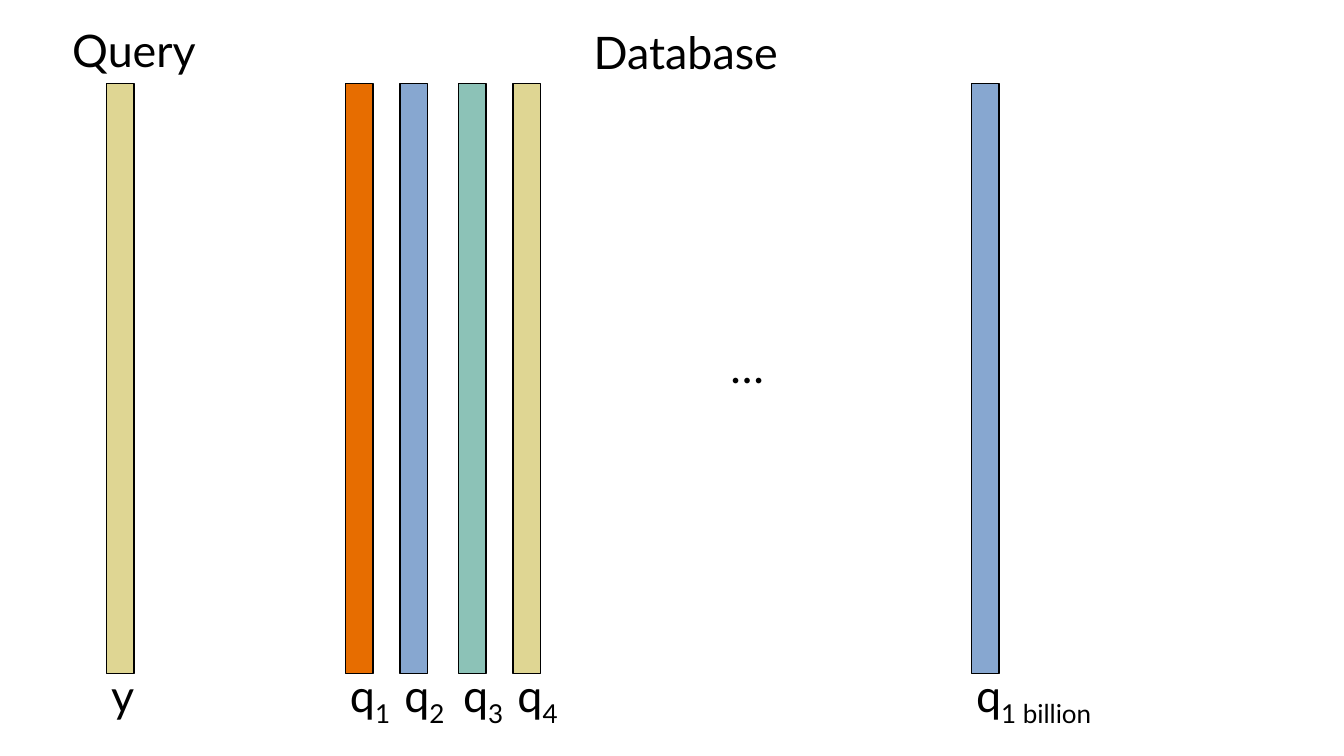
from dataclasses import dataclass

import pptx
import pptx.dml.color
import pptx.enum.shapes
import pptx.enum.text
import pptx.util

COLORS = {
    "black": "000000",
    "sand": "DFD693",
    "orange": "E76D00",
    "blue": "87A7D0",
    "teal": "8CC2B7",
}
FONT = "Lato"
BAR_TOP, BAR_WIDTH, BAR_HEIGHT = 2.11, 0.69, 14.86
LABEL_TOP, LABEL_WIDTH, LABEL_HEIGHT = 16.69, 1.78, 1.63
LABEL_SHIFT = 0.14


@dataclass(frozen=True)
class Vector:
    left: float
    color: str
    name: str
    index: str = ""
    label_width: float = LABEL_WIDTH


@dataclass(frozen=True)
class Caption:
    text: str
    left: float
    top: float
    width: float


VECTORS = [
    Vector(2.69, "sand", "y"),
    Vector(8.71, "orange", "q", "1"),
    Vector(10.08, "blue", "q", "2"),
    Vector(11.56, "teal", "q", "3"),
    Vector(12.93, "sand", "q", "4"),
    Vector(24.49, "blue", "q", "1 billion", 4.22),
]
CAPTIONS = [
    Caption("…", 18.16, 8.41, LABEL_WIDTH),
    Caption("Query", 1.57, 0.46, 6.2),
    Caption("Database", 14.71, 0.51, 6.2),
]


def rgb(name: str) -> pptx.dml.color.RGBColor:
    return pptx.dml.color.RGBColor.from_string(COLORS[name])


def add_text(page, text: str, *, left: float, top: float, width: float,
             subscript: str = "", size: float = 32, color: str = "black") -> None:
    box = page.shapes.add_textbox(
        pptx.util.Cm(left), pptx.util.Cm(top),
        pptx.util.Cm(width), pptx.util.Cm(LABEL_HEIGHT),
    )
    frame = box.text_frame
    frame.word_wrap = True
    frame.auto_size = pptx.enum.text.MSO_AUTO_SIZE.SHAPE_TO_FIT_TEXT
    para = frame.paragraphs[0]
    for part in filter(None, (text, subscript)):
        span = para.add_run()
        span.text = part
        span.font.name = FONT
        span.font.size = pptx.util.Pt(size)
        span.font.color.rgb = rgb(color)
    if subscript:
        span._r.get_or_add_rPr().set("baseline", "-25000")


def add_vector(page, vector: Vector) -> None:
    bar = page.shapes.add_shape(
        pptx.enum.shapes.MSO_SHAPE.RECTANGLE,
        pptx.util.Cm(vector.left), pptx.util.Cm(BAR_TOP),
        pptx.util.Cm(BAR_WIDTH), pptx.util.Cm(BAR_HEIGHT),
    )
    bar.shadow.inherit = False
    bar.fill.solid()
    bar.fill.fore_color.rgb = rgb(vector.color)
    bar.line.color.rgb = rgb("black")
    bar.line.width = pptx.util.Pt(1)
    add_text(page, vector.name, subscript=vector.index,
             left=vector.left - LABEL_SHIFT, top=LABEL_TOP, width=vector.label_width)


def main() -> None:
    deck = pptx.Presentation()
    deck.slide_width = pptx.util.Cm(33.87)
    deck.slide_height = pptx.util.Cm(19.05)
    page = deck.slides.add_slide(deck.slide_layouts.get_by_name("Blank"))
    for vector in VECTORS:
        add_vector(page, vector)
    for caption in CAPTIONS:
        add_text(page, caption.text, left=caption.left, top=caption.top, width=caption.width)
    deck.save("out.pptx")


if __name__ == "__main__":
    main()
